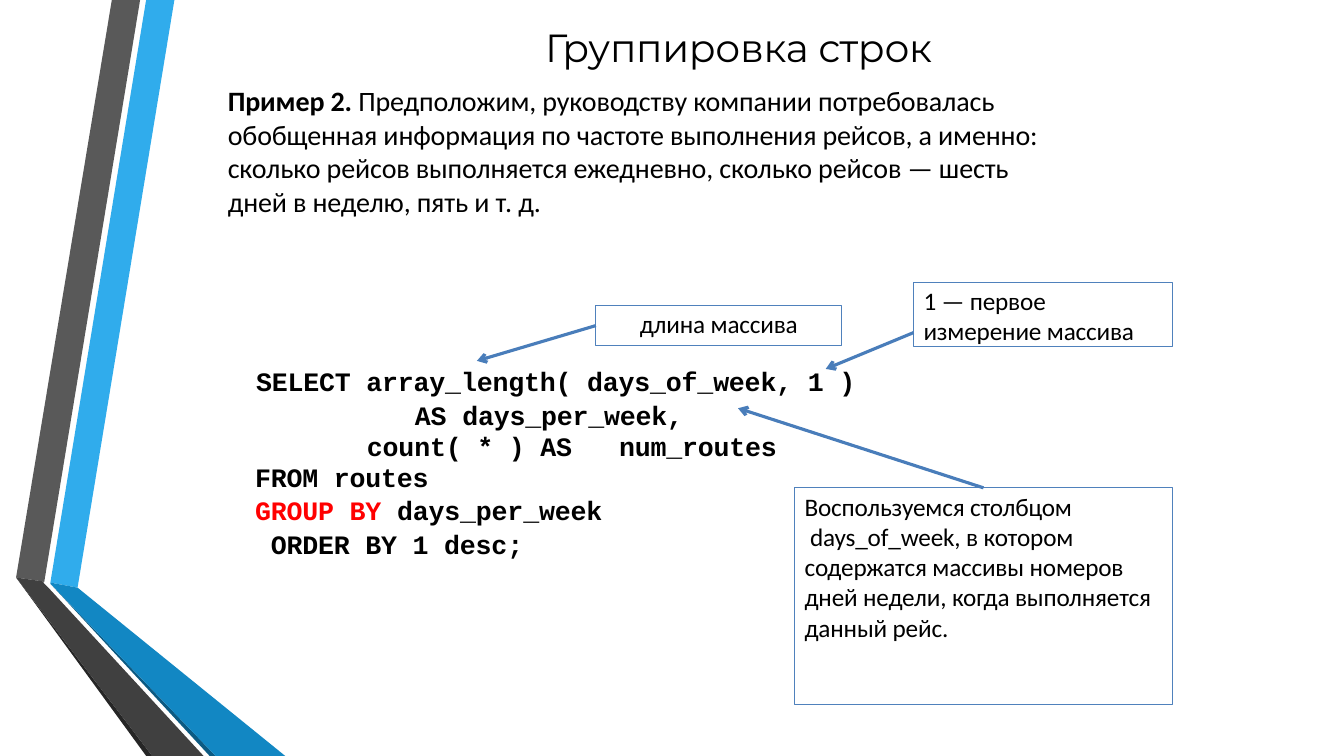
from lxml.etree import SubElement
from pptx import Presentation
from pptx.dml.color import RGBColor
from pptx.enum.shapes import MSO_CONNECTOR as Connector, MSO_SHAPE as Shape
from pptx.enum.text import MSO_ANCHOR as Anchor, PP_ALIGN as Align
from pptx.oxml.ns import qn
from pptx.util import Emu, Pt

SCALE = 9144  # EMU in one px, 100 px to the inch
BORDER, ARROW = "4F81BC", "497DBA"
BLACK, RED = "000000", "FF0000"
LEFT_SIDE, TOP_SIDE = 1, 0

TITLE = {"name": "Montserrat", "size": Pt(28)}
BODY = {"name": "Calibri", "size": Pt(20)}
NOTE = {"name": "Calibri", "size": Pt(18)}
CODE = {"name": "Courier New", "size": Pt(19), "bold": True}

# Side ribbon, back to front: colour and outline
RIBBON = [
    ("30ACEC", [(50, 578), (77, 583), (173, 0), (145, 0)]),
    ("595959", [(139, 0), (111, 0), (16, 573), (44, 577)]),
    ("262626", [(16, 573), (145, 750), (151, 750)]),
    ("0C5A82", [(50, 579), (208, 750), (214, 750)]),
    ("1287C3", [(50, 578), (50, 579), (214, 750), (283, 750), (77, 583)]),
    ("404040", [(202, 750), (48, 583), (43, 578), (44, 577), (16, 573), (151, 750)]),
]


def px(*lengths):
    return [Emu(length * SCALE) for length in lengths]


def colour(hex_value):
    return RGBColor.from_string(hex_value)


def set_values(target, values):
    for name, value in values.items():
        setattr(target, name, value)


def add_ribbon_part(slide, fill, points):
    builder = slide.shapes.build_freeform(*points[0], scale=SCALE)
    builder.add_line_segments(points[1:])
    shape = builder.convert_to_shape()
    shape.shadow.inherit = False
    shape.fill.solid()
    shape.fill.fore_color.rgb = colour(fill)
    shape.line.fill.background()


def write_run(paragraph, text, font, spacing, hex_value=BLACK, **extra):
    run = paragraph.add_run()
    run.text = text
    set_values(run.font, font | extra)
    run.font.color.rgb = colour(hex_value)
    run.font._element.set("spc", str(spacing))


def write_text(shape, paragraphs, font, inset=1, before=1, indent=0, hanging=0,
               anchor=Anchor.TOP, spacing=-10, **layout):
    """Each paragraph is a list of lines; each line is a list of (text, formats)."""
    frame = shape.text_frame
    left, top = px(0, inset)
    set_values(frame, {"word_wrap": True, "vertical_anchor": anchor, "margin_left": left,
                       "margin_right": left, "margin_top": top, "margin_bottom": left})
    for number, lines in enumerate(paragraphs):
        paragraph = frame.add_paragraph() if number else frame.paragraphs[0]
        set_values(paragraph, {"alignment": Align.LEFT} | layout)
        paragraph.space_before = Pt(0 if number else before)
        properties = paragraph._p.get_or_add_pPr()
        properties.set("marL", str(indent * SCALE))
        properties.set("indent", str(-hanging * SCALE))
        for position, line in enumerate(lines):
            if position:
                paragraph.add_line_break()
            for text, formats in line:
                write_run(paragraph, text, font, spacing, **formats)
    return frame


def plain(*lines):
    return [[(line, {})] for line in lines]


def add_text(slide, box, paragraphs, font, **layout):
    return write_text(slide.shapes.add_textbox(*px(*box)), paragraphs, font, **layout)


def add_note(slide, box, paragraphs, **layout):
    shape = slide.shapes.add_shape(Shape.RECTANGLE, *px(*box))
    shape.shadow.inherit = False
    shape.fill.background()
    shape.line.color.rgb = colour(BORDER)
    shape.line.width = Pt(0.75)
    write_text(shape, paragraphs, NOTE, inset=3, **layout)
    return shape


def add_arrow(slide, start, end, note=None, side=None):
    arrow = slide.shapes.add_connector(Connector.STRAIGHT, *px(*start, *end))
    if note is not None:
        arrow.begin_connect(note, side)
    arrow.line.color.rgb = colour(ARROW)
    arrow.line.width = Pt(2.25)
    SubElement(arrow.line._get_or_add_ln(), qn("a:tailEnd"), type="arrow")
    SubElement(arrow._element.spPr, qn("a:effectLst"))


def add_tab_stop(paragraph, position):
    tabs = SubElement(paragraph._p.get_or_add_pPr(), qn("a:tabLst"))
    SubElement(tabs, qn("a:tab"), pos=str(position * SCALE), algn="l")


def main():
    presentation = Presentation()
    presentation.slide_width, presentation.slide_height = px(1333, 750)
    slide = presentation.slides.add_slide(presentation.slide_layouts[6])

    for fill, points in RIBBON:
        add_ribbon_part(slide, fill, points)

    # Title and task
    add_text(slide, (476, 22, 513, 48), [plain("Группировка строк")], TITLE,
             anchor=Anchor.MIDDLE, alignment=Align.CENTER, spacing=-20)
    task = [
        [[("Пример 2. ", {"bold": True}),
          ("Предположим, руководству компании потребовалась", {})],
         *plain("обобщенная информация по частоте выполнения рейсов, а именно:")],
        plain("сколько рейсов выполняется ежедневно, сколько рейсов — шесть",
              "дней в неделю, пять и т. д."),
    ]
    add_text(slide, (225, 82, 870, 170), task, BODY, indent=1)

    # Query
    add_text(slide, (252, 359, 630, 65),
             [plain("SELECT array_length( days_of_week, 1 )", " AS days_per_week,")],
             CODE, indent=144, hanging=142, line_spacing=1.06)
    count = add_text(slide, (252, 424, 630, 32), [plain("count( * ) AS\tnum_routes")],
                     CODE, indent=112, before=0, line_spacing=1.06)
    add_tab_stop(count.paragraphs[0], 333)
    grouping = [[("GROUP BY ", {"hex_value": RED}), ("days_per_week", {})],
                *plain(" ORDER BY 1 desc;")]
    add_text(slide, (252, 454, 350, 98), [plain("FROM routes"), grouping],
             CODE, indent=1, line_spacing=1.06)

    # Notes and their arrows
    column_note = add_note(slide, (788, 484, 375, 215), [
        plain("Воспользуемся столбцом", " days_of_week, в котором"),
        plain("содержатся массивы номеров", "дней недели, когда выполняется",
              "данный рейс."),
    ], indent=10, before=2.5)
    length_note = add_note(slide, (591, 303, 244, 40), [plain("длина массива")],
                           alignment=Align.CENTER)
    add_note(slide, (906, 280, 257, 64),
             [plain("1 — первое"), plain("измерение массива")], indent=10, before=2.5)
    add_arrow(slide, (975, 484), (732, 405), column_note, TOP_SIDE)
    add_arrow(slide, (591, 323), (473, 358), length_note, LEFT_SIDE)
    add_arrow(slide, (906, 330), (819, 366))

    presentation.save("out.pptx")


if __name__ == "__main__":
    main()
